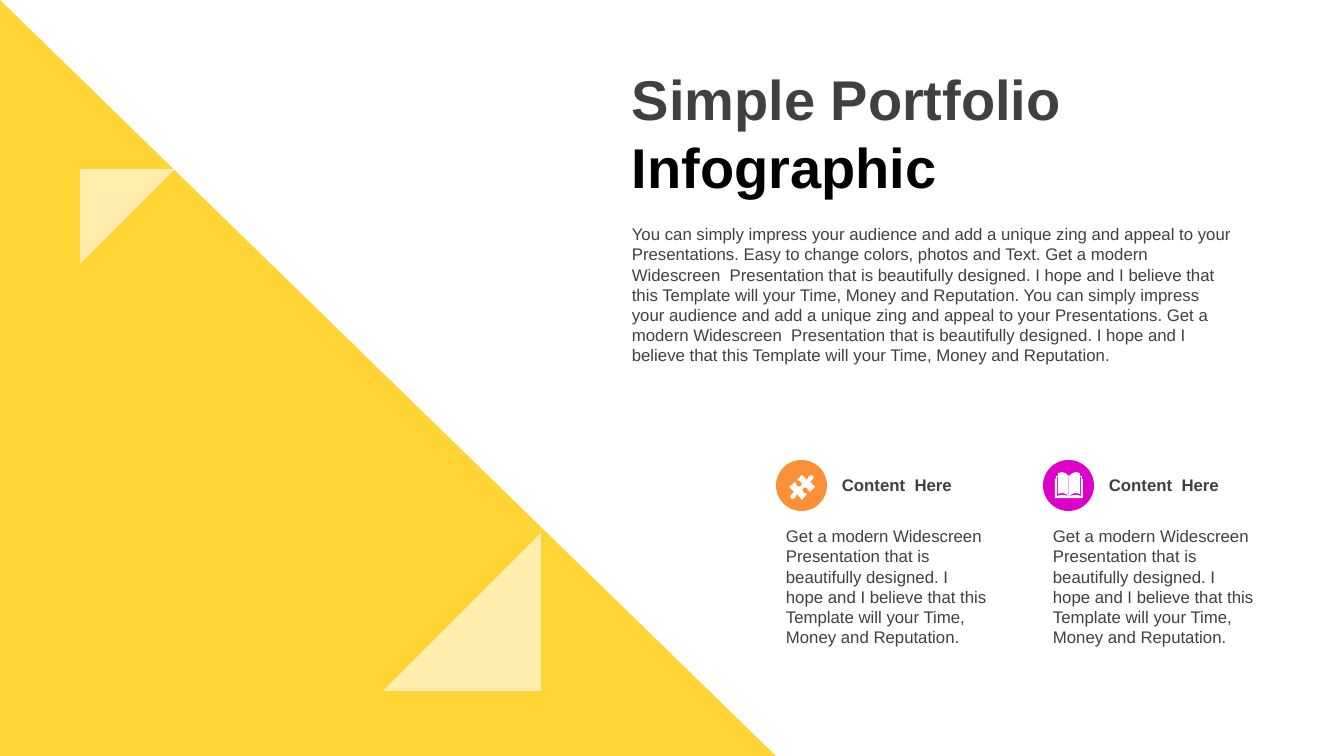
from lxml.etree import SubElement
from pptx import Presentation
from pptx.dml.color import RGBColor
from pptx.enum.shapes import MSO_SHAPE
from pptx.enum.text import MSO_ANCHOR, MSO_AUTO_SIZE
from pptx.oxml.ns import qn
from pptx.util import Pt

EMU_PER_PX = 914400 / 100.8
SLIDE_SIZE = (1344, 756)

WHITE, BLACK, GRAY = "FFFFFF", "000000", "404040"
YELLOW, ORANGE, MAGENTA = "FFD434", "FD9034", "DC00C8"

# Frame, rotation, colour, opacity in percent
TRIANGLES = [
    ((0, 0, 776, 756), 0, YELLOW, 100),
    ((383, 533, 158, 158), 270, WHITE, 60),
    ((80, 169, 95, 95), 90, WHITE, 60),
]

TITLE = [("Simple Portfolio", GRAY), ("Infographic", BLACK)]
INTRO = (
    "You can simply impress your audience and add a unique zing and appeal to your "
    "Presentations. Easy to change colors, photos and Text. Get a modern Widescreen  "
    "Presentation that is beautifully designed. I hope and I believe that this Template "
    "will your Time, Money and Reputation. You can simply impress your audience and add "
    "a unique zing and appeal to your Presentations. Get a modern Widescreen  Presentation "
    "that is beautifully designed. I hope and I believe that this Template will your Time, "
    "Money and Reputation."
)
COLUMN_LABEL = "Content  Here"
COLUMN_BODY = (
    "Get a modern Widescreen  Presentation that is beautifully designed. I hope and "
    "I believe that this Template will your Time, Money and Reputation."
)

# Each contour lists its start, then one tuple per segment:
# two numbers for a line, six for a Bézier curve.
PUZZLE = [[
    (24, 1), (25, 2, 25, 3, 24, 4), (23, 6, 22, 5, 21, 7), (26, 12), (21, 17),
    (19, 16, 19, 14, 18, 13), (17, 12, 15, 13, 14, 13), (14, 14, 13, 16, 14, 17),
    (16, 19, 17, 18, 18, 19), (13, 25), (8, 19), (6, 21, 7, 22, 6, 23),
    (4, 25, 2, 24, 2, 23), (1, 23, 1, 21, 2, 20), (3, 18, 4, 19, 5, 17), (0, 12),
    (6, 7), (7, 8, 7, 10, 8, 11), (9, 12, 11, 12, 12, 11), (13, 10, 13, 8, 12, 7),
    (10, 5, 10, 6, 8, 5), (13, 0), (18, 5), (20, 3, 19, 3, 20, 1), (22, 0, 24, 0, 24, 1),
]]
BOOK = [
    [(14, 4), (16, 2, 18, 0, 21, 0), (22, 0, 23, 1, 25, 1), (25, 4), (27, 4), (27, 7),
     (28, 7), (28, 26), (0, 26), (0, 7), (1, 7), (1, 4), (3, 4), (3, 1),
     (5, 1, 6, 0, 7, 0), (10, 0, 12, 2, 14, 4)],
    [(14, 24), (19, 23, 21, 22, 26, 24), (26, 5), (25, 5), (25, 22), (21, 20, 18, 21, 14, 24)],
    [(14, 24), (10, 21, 7, 20, 3, 22), (3, 5), (2, 5), (2, 24), (7, 22, 9, 23, 14, 24)],
    [(13.8, 5), (14.2, 5), (14.2, 23), (13.8, 23)],
]

# Column left, circle colour, icon contours, icon offset from the circle's corner
COLUMNS = [
    (1043, MAGENTA, BOOK, (12, 12)),
    (776, ORANGE, PUZZLE, (13, 15)),
]
CIRCLE_TOP, CIRCLE_SIZE = 460, 51


def emu(px):
    return round(px * EMU_PER_PX)


def rgb(value):
    return RGBColor.from_string(value)


def paint(shape, color, opacity=100):
    shape.shadow.inherit = False
    shape.fill.solid()
    shape.fill.fore_color.rgb = rgb(color)
    shape.line.fill.background()
    if opacity < 100:
        color_element = shape.element.spPr.find(qn("a:solidFill"))[0]
        SubElement(color_element, qn("a:alpha"), val=str(opacity * 1000))


def add_preset(page, kind, frame, color, opacity=100, rotation=0):
    shape = page.shapes.add_shape(kind, *map(emu, frame))
    shape.rotation = rotation
    paint(shape, color, opacity)


def add_text(page, frame, lines, size=12, bold=False, anchor=MSO_ANCHOR.TOP):
    box = page.shapes.add_textbox(*map(emu, frame))
    frame_format = {
        "word_wrap": True,
        "auto_size": MSO_AUTO_SIZE.SHAPE_TO_FIT_TEXT,
        "vertical_anchor": anchor,
    }
    for name, value in frame_format.items():
        setattr(box.text_frame, name, value)
    for index, (text, color) in enumerate(lines):
        para = box.text_frame.paragraphs[0] if index == 0 else box.text_frame.add_paragraph()
        span = para.add_run()
        span.text = text
        for name, value in {"name": "Arial", "size": Pt(size), "bold": bold}.items():
            setattr(span.font, name, value)
        span.font.color.rgb = rgb(color)


def add_icon(page, left, top, contours):
    """Draw the segment ends as a freeform, then bend the curved segments."""
    def place(x, y):
        return emu(left + x), emu(top + y)

    builder = page.shapes.build_freeform(*place(*contours[0][0]), scale=1.0)
    for index, (start, *segments) in enumerate(contours):
        if index:
            builder.move_to(*place(*start))
        ends = [place(*segment[-2:]) for segment in segments]
        builder.add_line_segments(ends, close=False)
    shape = builder.convert_to_shape()

    all_segments = [segment for contour in contours for segment in contour[1:]]
    for line, segment in zip(list(shape.element.iter(qn("a:lnTo"))), all_segments):
        if len(segment) == 2:
            continue
        curve = SubElement(line.getparent(), qn("a:cubicBezTo"))
        line.getparent().replace(line, curve)
        for position in (0, 2, 4):
            x, y = place(*segment[position:position + 2])
            SubElement(curve, qn("a:pt"), x=str(x - shape.left), y=str(y - shape.top))
    paint(shape, WHITE)


def main():
    deck = Presentation()
    deck.slide_width, deck.slide_height = map(emu, SLIDE_SIZE)
    page = deck.slides.add_slide(deck.slide_layouts[6])

    for frame, rotation, color, opacity in TRIANGLES:
        add_preset(page, MSO_SHAPE.RIGHT_TRIANGLE, frame, color, opacity, rotation)

    add_text(page, (622, 219, 624, 152), [(INTRO, GRAY)])
    add_text(page, (622, 59, 457, 146), TITLE, size=40, bold=True, anchor=MSO_ANCHOR.MIDDLE)

    for left, color, icon, (dx, dy) in COLUMNS:
        add_preset(page, MSO_SHAPE.OVAL, (left, CIRCLE_TOP, CIRCLE_SIZE, CIRCLE_SIZE), color)
        add_text(page, (left + 56, CIRCLE_TOP + 10, 147, 30), [(COLUMN_LABEL, GRAY)], bold=True)
        add_text(page, (left, CIRCLE_TOP + 61, 223, 132), [(COLUMN_BODY, GRAY)])
    for left, color, icon, (dx, dy) in reversed(COLUMNS):
        add_icon(page, left + dx, CIRCLE_TOP + dy, icon)

    deck.save("out.pptx")


if __name__ == "__main__":
    main()
